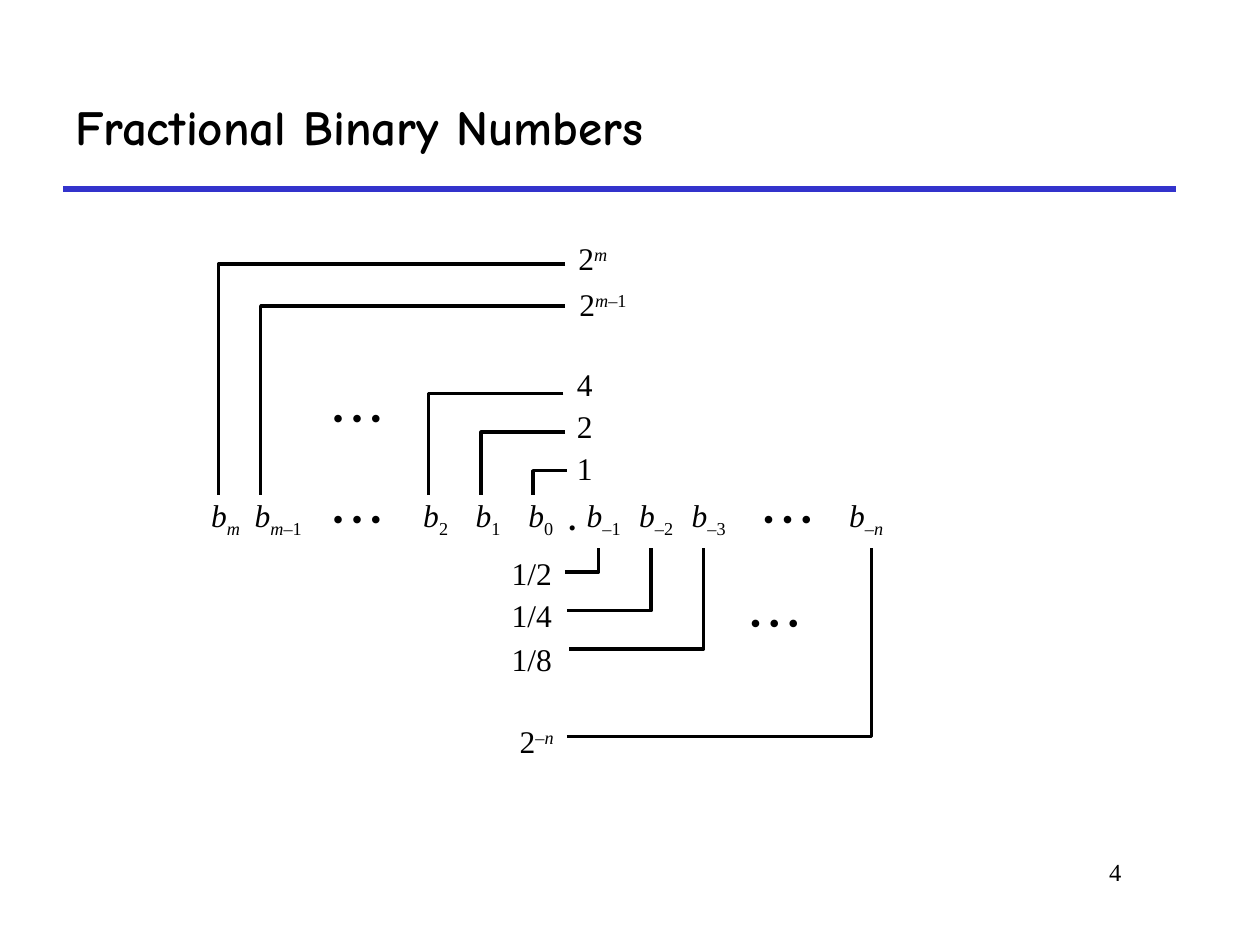
from pptx import Presentation
from pptx.dml.color import RGBColor
from pptx.enum import shapes, text
from pptx.oxml import ns
from pptx.util import Pt
from lxml import etree

BLACK = RGBColor(0x00, 0x00, 0x00)
WHITE = RGBColor(0xFF, 0xFF, 0xFF)
BLUE = RGBColor(0x33, 0x33, 0xCC)
SERIF = "Times New Roman"
LEFT, CENTER, RIGHT = text.PP_ALIGN.LEFT, text.PP_ALIGN.CENTER, text.PP_ALIGN.RIGHT
TOP, MIDDLE = text.MSO_ANCHOR.TOP, text.MSO_ANCHOR.MIDDLE
FIXED, GROW = text.MSO_AUTO_SIZE.NONE, text.MSO_AUTO_SIZE.SHAPE_TO_FIT_TEXT

DIGIT_TOP, DIGIT_WIDTH, DIGIT_HEIGHT = 275, 30, 42
ELLIPSIS_WIDTH = 60
LABEL_HEIGHT = 29
ELLIPSIS = [("• • •", "")]

DIGITS = [
    (114, [("m", "i_")]),
    (144, [("m", "i_"), ("–1", "_")]),
    (234, [("2", "_")]),
    (264, [("1", "_")]),
    (294, [("0", "_")]),
    (330, [("–1", "_")]),
    (360, [("–2", "_")]),
    (390, [("–3", "_")]),
    (480, [("–", "_"), ("n", "i_")]),
]
WHOLE_WEIGHTS = [
    (322.5, 253.3, 23, [("1", "")]),
    (322.5, 229, 23, [("2", "")]),
    (322.5, 205, 23, [("4", "")]),
    (324, 159.3, 43, [("2", ""), ("m", "i^"), ("–1", "^")]),
    (323.5, 133, 31, [("2", ""), ("m", "i^")]),
]
FRACTION_WEIGHTS = [
    (285, 313, 37.5, [("1/2", "")]),
    (285, 337, 37.5, [("1/4", "")]),
    (285, 362, 37.5, [("1/8", "")]),
    (289.5, 409, 34, [("2", ""), ("–", "^"), ("n", "i^")]),
]
UPPER_END, LOWER_END = 283, 313
UPPER_BRACKETS = [(324, 269, 304.5), (323, 247, 275), (322, 225, 245),
                  (323, 175, 149), (323, 151, 124.8)]
LOWER_BRACKETS = [(322.8, 327, 342), (324, 349, 372), (325.2, 371, 402),
                  (324, 421, 498)]


def write_text(shape, runs, size=18, font=SERIF, bold=False, align=LEFT,
               anchor=TOP, wrap=False, fit=FIXED):
    """Write (text, style) runs; in a style, i is italic, _ subscript, ^ superscript."""
    frame = shape.text_frame
    frame.word_wrap = wrap
    frame.auto_size = fit
    frame.vertical_anchor = anchor
    paragraph = frame.paragraphs[0]
    paragraph.alignment = align
    for content, style in runs:
        run = paragraph.add_run()
        run.text = content
        run.font.size = Pt(size)
        run.font.name = font
        run.font.bold = bold
        run.font.italic = "i" in style
        run.font.color.rgb = BLACK
        if "_" in style:
            run.font._element.set("baseline", "-25000")
        elif "^" in style:
            run.font._element.set("baseline", "30000")


def add_label(slide, left, top, width, height, runs, **text_format):
    """Add a text box."""
    box = slide.shapes.add_textbox(Pt(left), Pt(top), Pt(width), Pt(height))
    write_text(box, runs, **text_format)


def add_cell(slide, left, top, width, runs, bold=False, rotation=0):
    """Add a white cell with centred text."""
    cell = slide.shapes.add_shape(shapes.MSO_SHAPE.RECTANGLE, Pt(left), Pt(top),
                                  Pt(width), Pt(DIGIT_HEIGHT))
    cell.shadow.inherit = False
    cell.fill.solid()
    cell.fill.fore_color.rgb = WHITE
    cell.line.fill.background()
    cell.rotation = rotation
    write_text(cell, runs, bold=bold, align=CENTER, anchor=MIDDLE)


def add_bracket(slide, tip, level, stem, end):
    """Add a bent line from a weight to its digit."""
    builder = slide.shapes.build_freeform(Pt(tip), Pt(level))
    builder.add_line_segments([(Pt(stem), Pt(level)), (Pt(stem), Pt(end))], close=False)
    bracket = builder.convert_to_shape()
    bracket.shadow.inherit = False
    bracket.fill.background()
    bracket.line.color.rgb = BLACK
    bracket.line.width = Pt(2)


def add_rule(slide, left, right, top):
    """Add the blue rule below the title."""
    rule = slide.shapes.add_connector(shapes.MSO_CONNECTOR.STRAIGHT,
                                      Pt(left), Pt(top), Pt(right), Pt(top))
    rule.line.color.rgb = BLUE
    rule.line.width = Pt(3)
    etree.SubElement(rule._element.spPr, ns.qn("a:effectLst"))


def main():
    """Build and save the slide."""
    presentation = Presentation()
    presentation.slide_width, presentation.slide_height = Pt(720), Pt(540)
    slide = presentation.slides.add_slide(presentation.slide_layouts[6])

    add_rule(slide, 36, 672, 108)
    add_label(slide, 546, 486, 102, 36, [("4", "")], size=14, align=RIGHT, wrap=True)
    add_label(slide, 36, 36, 636, 72, [("Fractional Binary Numbers", "")], size=28,
              font="Comic Neue", bold=True, anchor=MIDDLE, wrap=True)

    for left, index in DIGITS:
        add_cell(slide, left, DIGIT_TOP, DIGIT_WIDTH, [("b", "i")] + index)
    for left in (420, 174):
        add_cell(slide, left, DIGIT_TOP, ELLIPSIS_WIDTH, ELLIPSIS)
    add_cell(slide, 324, DIGIT_TOP, 6, [(".", "")], bold=True)

    for left, top, width, runs in WHOLE_WEIGHTS:
        add_label(slide, left, top, width, LABEL_HEIGHT, runs, fit=GROW)
    for bracket in UPPER_BRACKETS:
        add_bracket(slide, *bracket, UPPER_END)
    add_cell(slide, 174, 217.5, ELLIPSIS_WIDTH, ELLIPSIS)

    for bracket in LOWER_BRACKETS:
        add_bracket(slide, *bracket, LOWER_END)
    add_cell(slide, 412.5, 337, ELLIPSIS_WIDTH, ELLIPSIS, rotation=180)
    for left, top, width, runs in FRACTION_WEIGHTS:
        add_label(slide, left, top, width, LABEL_HEIGHT, runs, align=RIGHT, fit=GROW)

    presentation.save("out.pptx")


if __name__ == "__main__":
    main()
